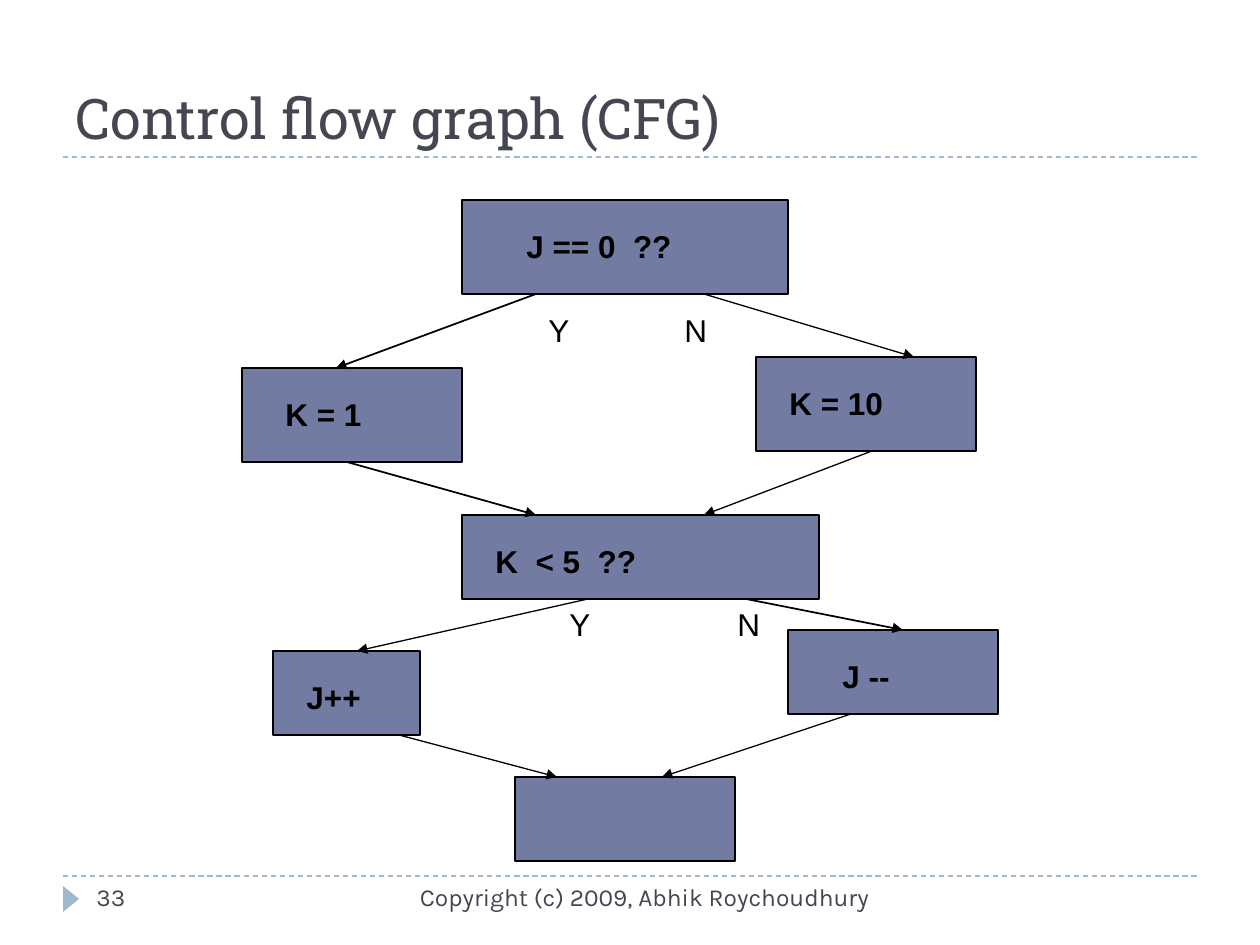
"""Builds a slide with a control flow graph of two branches."""
from dataclasses import dataclass

from lxml import etree
from pptx import Presentation
from pptx.dml.color import RGBColor
from pptx.enum.dml import MSO_LINE
from pptx.enum.shapes import MSO_CONNECTOR, MSO_SHAPE
from pptx.enum.text import MSO_ANCHOR, PP_ALIGN
from pptx.oxml.ns import qn
from pptx.util import Emu, Inches, Pt

SCALE = Inches(1) // 126
STRAIGHT = MSO_CONNECTOR.STRAIGHT
RECTANGLE = MSO_SHAPE.RECTANGLE
TRIANGLE = MSO_SHAPE.ISOSCELES_TRIANGLE
DASH = MSO_LINE.DASH
TOP, BOTTOM = MSO_ANCHOR.TOP, MSO_ANCHOR.BOTTOM
LEFT, RIGHT = PP_ALIGN.LEFT, PP_ALIGN.RIGHT


@dataclass(frozen=True)
class TextStyle:
    """Font, size and colour of one kind of text."""
    font: str
    size: int
    color: str
    bold: bool = False


@dataclass(frozen=True)
class Theme:
    """Colours and type styles of the slide."""
    node: str = "727CA3"
    ink: str = "000000"
    accent: str = "9FB8CD"
    title: TextStyle = TextStyle("Roboto Slab", 32, "464653")
    footer: TextStyle = TextStyle("Karla", 14, "464653")
    code: TextStyle = TextStyle("Arial", 18, "000000", True)
    branch: TextStyle = TextStyle("Arial", 18, "000000")


def px(value):
    """Turn pixels into EMU."""
    return Emu(value * SCALE)


def rgb(color):
    """Turn a hex string into a colour."""
    return RGBColor.from_string(color)


class FlowSlide:
    """Draws the elements of the graph on one slide."""

    def __init__(self, slide, theme):
        """Keep the slide and its theme."""
        self.slide = slide
        self.theme = theme

    def line(self, start, end, color, width):
        """Draw a plain line between two points."""
        connector = self.slide.shapes.add_connector(STRAIGHT, *map(px, start + end))
        connector.line.color.rgb = rgb(color)
        connector.line.width = Pt(width)
        etree.SubElement(connector._element.spPr, qn("a:effectLst"))
        return connector

    def rule(self, top):
        """Draw a dashed rule across the slide."""
        self.line((63, top), (1197, top), self.theme.accent, 0.75).line.dash_style = DASH

    def arrow(self, start, end, width):
        """Draw an edge of the graph."""
        connector = self.line(start, end, self.theme.ink, width)
        etree.SubElement(connector.line._get_or_add_ln(), qn("a:tailEnd"), type="triangle")

    def shape(self, kind, box, color):
        """Draw a filled shape without an outline."""
        shape = self.slide.shapes.add_shape(kind, *map(px, box))
        shape.shadow.inherit = False
        shape.fill.solid()
        shape.fill.fore_color.rgb = rgb(color)
        shape.line.fill.background()
        return shape

    def node(self, box):
        """Draw a block of the graph."""
        shape = self.shape(RECTANGLE, box, self.theme.node)
        shape.line.color.rgb = rgb(self.theme.ink)
        shape.line.width = Pt(0.75)

    def marker(self, box):
        """Draw the triangle beside the page number."""
        self.shape(TRIANGLE, box, self.theme.accent).rotation = 90

    def text(self, box, words, style, align=LEFT, anchor=TOP):
        """Place one line of text."""
        text_frame = self.slide.shapes.add_textbox(*map(px, box)).text_frame
        text_frame.word_wrap = True
        text_frame.vertical_anchor = anchor
        text_frame.text = words
        paragraph = text_frame.paragraphs[0]
        paragraph.alignment = align
        font = paragraph.runs[0].font
        font.name = style.font
        font.size = Pt(style.size)
        font.bold = style.bold
        font.color.rgb = rgb(style.color)


NODES = [
    (462, 200, 326, 94),
    (242, 368, 220, 94),
    (756, 357, 220, 94),
    (462, 515, 357, 84),
    (273, 651, 147, 84),
    (788, 630, 210, 84),
    (515, 777, 220, 84),
]
EDGES = [
    ((536, 294), (336, 368), 1),
    ((704, 294), (914, 357), 0.75),
    ((347, 462), (536, 515), 1),
    ((872, 451), (704, 515), 0.75),
    ((588, 599), (357, 651), 0.75),
    ((746, 599), (903, 630), 1),
    ((399, 735), (557, 777), 0.75),
    ((851, 714), (662, 777), 0.75),
]
STATEMENTS = [
    (514, 221, 242, "J == 0  ??"),
    (273, 389, 116, "K = 1"),
    (777, 378, 168, "K = 10"),
    (483, 536, 315, "K  < 5  ??"),
    (294, 672, 105, "J++"),
    (830, 651, 136, "J --"),
]
BRANCHES = [
    (536, 305, 53, "Y"),
    (672, 305, 53, "N"),
    (557, 599, 53, "Y"),
    (725, 599, 53, "N"),
]


def main():
    """Build and save the slide."""
    presentation = Presentation()
    presentation.slide_width = px(1260)
    presentation.slide_height = px(945)
    theme = Theme()
    page = FlowSlide(presentation.slides.add_slide(presentation.slide_layouts[6]), theme)

    for top in (876, 157):
        page.rule(top)
    page.marker((58, 891, 26, 16))
    page.text((63, 21, 1134, 136), "Control flow graph (CFG)", theme.title, anchor=BOTTOM)
    page.text((399, 876, 483, 50), "Copyright (c) 2009, Abhik Roychoudhury", theme.footer, RIGHT)
    page.text((84, 876, 273, 50), "33", theme.footer)

    for box in NODES:
        page.node(box)
    for edge in EDGES:
        page.arrow(*edge)
    for labels, style in ((STATEMENTS, theme.code), (BRANCHES, theme.branch)):
        for left, top, width, words in labels:
            page.text((left, top, width, 50), words, style)

    presentation.save("out.pptx")


if __name__ == "__main__":
    main()
